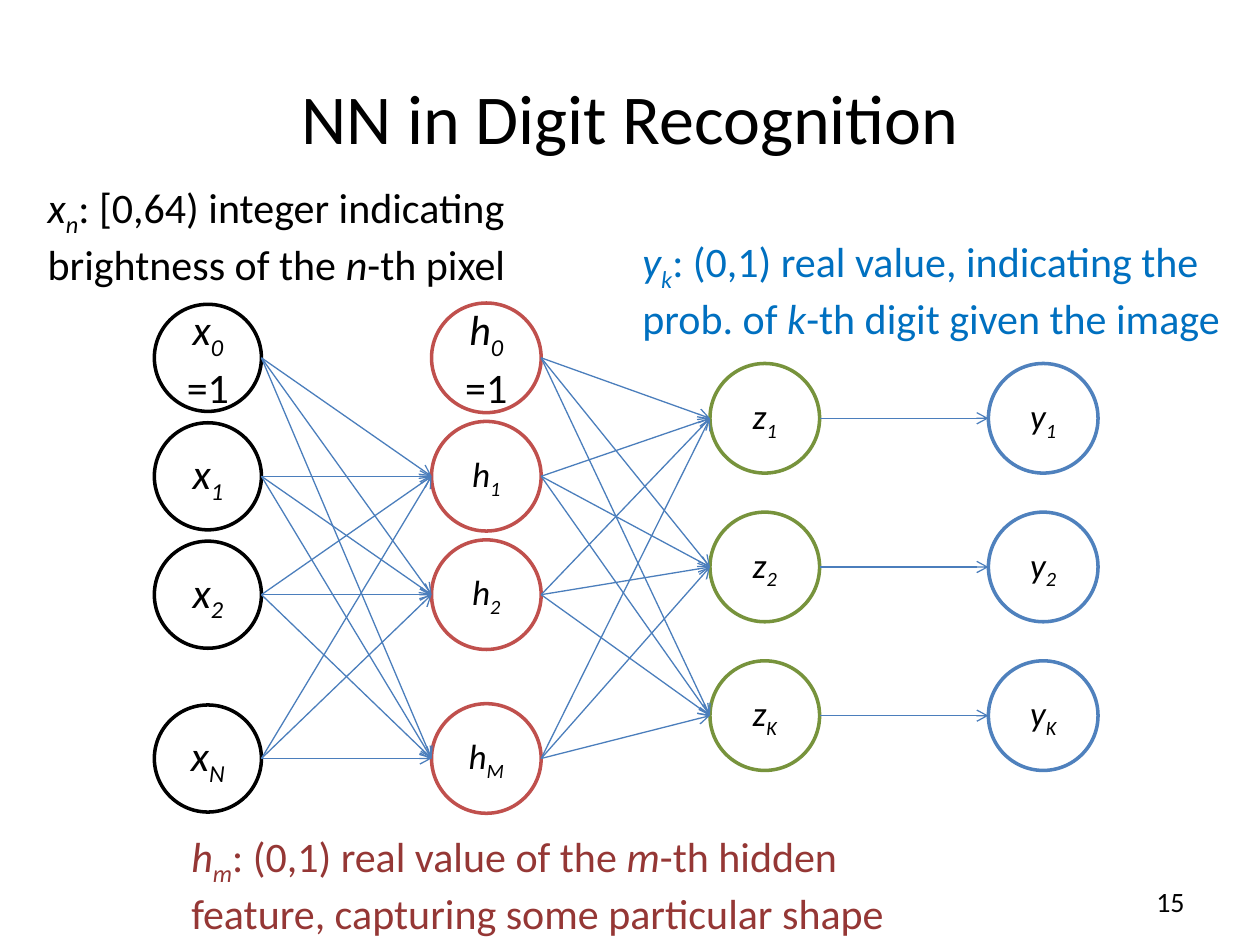
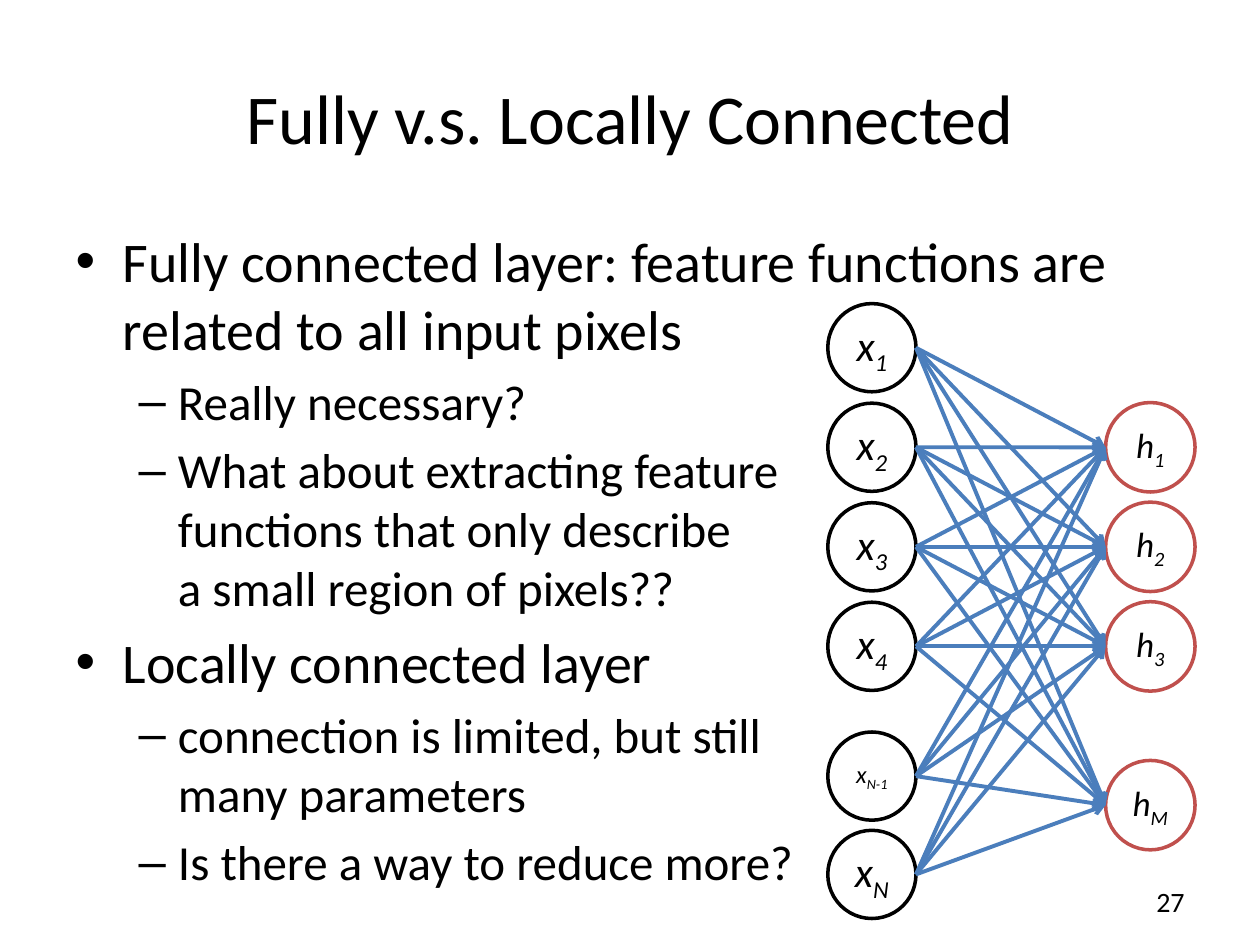
from dataclasses import dataclass
from itertools import product

from lxml import etree
from pptx import Presentation
from pptx.dml.color import RGBColor
from pptx.enum.shapes import MSO_CONNECTOR, MSO_SHAPE
from pptx.enum.text import MSO_ANCHOR, MSO_AUTO_SIZE, PP_ALIGN
from pptx.oxml.ns import qn
from pptx.util import Inches, Pt

OVAL = MSO_SHAPE.OVAL
LINE = MSO_CONNECTOR.STRAIGHT
MID = MSO_ANCHOR.MIDDLE
FIXED = MSO_AUTO_SIZE.NONE
MIDDLE, RIGHT = PP_ALIGN.CENTER, PP_ALIGN.RIGHT
TITLE_BODY, TITLE_ONLY = 1, 5


@dataclass(frozen=True)
class Theme:
    font: str = "Calibri"
    ink: str = "000000"
    paper: str = "FFFFFF"
    red: str = "C0504D"
    wine: str = "953735"
    green: str = "77933C"
    blue: str = "4F81BD"
    sky: str = "0070C0"
    link: str = "4B7EBC"
    title: int = 40
    levels: tuple = (32, 28)
    note: int = 24
    unit: int = 20
    tiny: int = 14
    page: int = 16
    ring: int = 2


T = Theme()
WIDE, HIGH = 10, 7.5
PITCH = 2.21            # between layers of a network


def write(par, runs, size, color=T.ink):
    """Add (text, style) runs; style i is italic, s an italic subscript."""
    for text, style in runs:
        for n, line in enumerate(text.split("\n")):
            if n:
                par.add_line_break()
            run = par.add_run()
            run.text = line
            font = run.font
            font.name, font.size = T.font, Pt(size)
            font.italic = style in ("i", "s")
            font.color.rgb = RGBColor.from_string(color)
            if style == "s":
                run._r.get_or_add_rPr().set("baseline", "-25000")


# Centre heights of the rows
in_rows = [2.84 + 0.94 * n for n in range(3)] + [6.02]
out_rows = [3.32 + 1.18 * n for n in range(3)]
pix_rows = [2.76 + 0.79 * n for n in range(4)] + [6.16, 6.94]
fea_rows = pix_rows[1:4] + [6.39]

# A layer: letter, ring colour, diameter, text size, subscripts, rows
# A join: from layer, to layer, whether every pair is linked
pages = [
    dict(
        title="NN in Digit Recognition", number="15", body=[],
        left=1.65, weight=0.75,
        layers=[
            ("x", T.ink, 0.85, T.note, "0 1 2 N", in_rows),
            ("h", T.red, 0.87, T.unit, "0 1 2 M", in_rows),
            ("z", T.green, 0.87, T.unit, "1 2 K", out_rows),
            ("y", T.blue, 0.87, T.unit, "1 2 K", out_rows),
        ],
        joins=[(0, 1, True), (1, 2, True), (2, 3, False)],
        notes=[
            ((0.28, 1.39, 4.61), T.ink,
             [("x", "i"), ("n", "s"),
              (": [0,64) integer indicating brightness of the ", ""),
              ("n", "i"), ("-th pixel", "")]),
            ((1.42, 6.54, 5.75), T.wine,
             [("h", "i"), ("m", "s"),
              (": (0,1) real value of the ", ""), ("m", "i"),
              ("-th hidden feature, capturing some particular shape", "")]),
            ((5, 1.82, 4.88), T.sky,
             [("y", "i"), ("k", "s"),
              (": (0,1) real value, indicating the prob. of ", ""),
              ("k", "i"), ("-th digit given the image", "")]),
        ],
    ),
    dict(
        title="Fully v.s. Locally Connected", number="27",
        body=[
            (0, "Fully connected layer: feature functions are "
                "related to all input pixels"),
            (1, "Really necessary?"),
            (1, "What about extracting feature\nfunctions that only describe\n"
                "a small region of pixels??"),
            (0, "Locally connected layer"),
            (1, "connection is limited, but still\nmany parameters"),
            (1, "Is there a way to reduce more?"),
        ],
        left=6.92, weight=2.25,
        layers=[
            ("x", T.ink, 0.7, T.note, "1 2 3 4 N-1 N", pix_rows),
            ("h", T.red, 0.71, T.unit, "1 2 3 M", fea_rows),
        ],
        joins=[(0, 1, True)], notes=[],
    ),
]

deck = Presentation()
deck.slide_width, deck.slide_height = Inches(WIDE), Inches(HIGH)

for page in pages:
    kind = TITLE_BODY if page["body"] else TITLE_ONLY
    slide = deck.slides.add_slide(deck.slide_layouts[kind])
    shapes = slide.shapes

    head = shapes.title
    head.left, head.top = Inches(0.05 * WIDE), Inches(0.04 * HIGH)
    head.width, head.height = Inches(0.9 * WIDE), Inches(1.25)
    frame = head.text_frame
    frame.auto_size, frame.vertical_anchor = FIXED, MID
    frame.paragraphs[0].alignment = MIDDLE
    write(frame.paragraphs[0], [(page["title"], "")], T.title)

    if page["body"]:
        body = slide.placeholders[1]
        body.left, body.top = Inches(0.05 * WIDE), Inches(1.75)
        body.width, body.height = Inches(0.9 * WIDE), Inches(0.75 * HIGH)
        frame = body.text_frame
        frame.auto_size = FIXED
        for n, (level, text) in enumerate(page["body"]):
            par = frame.add_paragraph() if n else frame.paragraphs[0]
            par.level = level
            if n == 0:
                par.space_before = Pt(0)
            write(par, [(text, "")], T.levels[level])

    # Units of the network, one column a layer
    net = []
    for col, (name, color, size, pts, subs, rows) in enumerate(page["layers"]):
        mid = page["left"] + PITCH * col
        layer = []
        for sub, row in zip(subs.split(), rows):
            unit = shapes.add_shape(
                OVAL, Inches(mid - size / 2), Inches(row - size / 2),
                Inches(size), Inches(size))
            unit.shadow.inherit = False
            unit.fill.solid()
            unit.fill.fore_color.rgb = RGBColor.from_string(T.paper)
            unit.line.color.rgb = RGBColor.from_string(color)
            unit.line.width = Pt(T.ring)
            frame = unit.text_frame
            frame.word_wrap, frame.vertical_anchor = True, MID
            par = frame.paragraphs[0]
            par.alignment = MIDDLE
            runs = [(name, "i"), (sub, "s")]
            if sub == "0":
                runs.append(("=1", ""))
            fit = {"0": T.note, "N-1": T.tiny}.get(sub, pts)
            write(par, runs, fit)
            layer.append((sub, unit))
        net.append(layer)

    # Links run from right side to left side; a bias unit takes none
    for start, end, full in page["joins"]:
        pair = product if full else zip
        for (_, a), (sub, b) in pair(net[start], net[end]):
            if sub == "0":
                continue
            link = shapes.add_connector(
                LINE, a.left + a.width, a.top + a.height // 2,
                b.left, b.top + b.height // 2)
            link.line.color.rgb = RGBColor.from_string(T.link)
            link.line.width = Pt(page["weight"])
            tip = etree.SubElement(link.line._get_or_add_ln(), qn("a:tailEnd"))
            tip.set("type", "arrow")
            etree.SubElement(link._element.spPr, qn("a:effectLst"))

    for (x, y, wide), color, runs in page["notes"]:
        note = shapes.add_textbox(
            Inches(x), Inches(y), Inches(wide), Inches(0.91))
        note.text_frame.word_wrap = True
        write(note.text_frame.paragraphs[0], runs, T.note, color)

    foot = shapes.add_textbox(
        Inches(7.17), Inches(6.95), Inches(2.33), Inches(0.4))
    frame = foot.text_frame
    frame.word_wrap, frame.vertical_anchor = True, MID
    frame.paragraphs[0].alignment = RIGHT
    write(frame.paragraphs[0], [(page["number"], "")], T.page)

deck.save("out.pptx")
